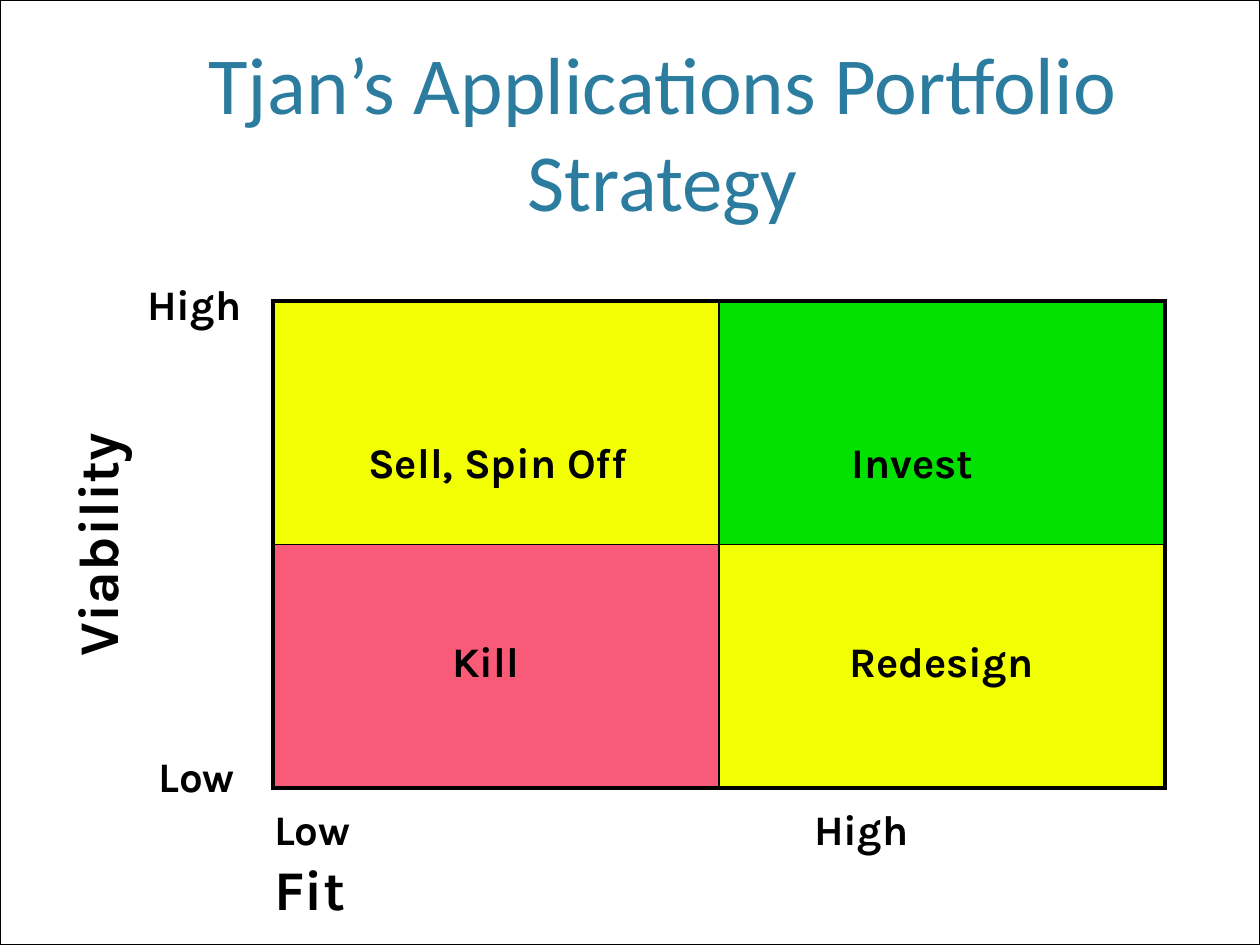
from lxml.etree import SubElement
from pptx import Presentation
from pptx.dml.color import RGBColor
from pptx.enum.shapes import MSO_SHAPE
from pptx.enum.text import MSO_ANCHOR, PP_ALIGN
from pptx.oxml.ns import qn
from pptx.util import Emu, Pt

PX = 8000
SLIDE_WIDTH, SLIDE_HEIGHT = 1260, 945
WHITE = RGBColor(0xFF, 0xFF, 0xFF)
BLACK = RGBColor(0x00, 0x00, 0x00)
TITLE_BLUE = RGBColor(0x2C, 0x7C, 0x9F)
YELLOW = RGBColor(0xF2, 0xFE, 0x02)
GREEN = RGBColor(0x03, 0xE1, 0x03)
RED = RGBColor(0xF8, 0x5A, 0x78)
LABEL_SIZE, AXIS_SIZE = 26.5, 35.3
LABEL_HEIGHT = 63
QUADRANT_FILLS = [[YELLOW, GREEN], [RED, YELLOW]]
QUADRANT_LABELS = [
    ("Sell, Spin Off", 84, 130, 297),
    ("Invest", 567, 130, 304),
    ("Kill", 168, 329, 91),
    ("Redesign", 565, 329, 219),
]


def px(*lengths):
    return [Emu(length * PX) for length in lengths]


def format_paragraph(paragraph, text, size=LABEL_SIZE, font="Karla", color=BLACK,
                     bold=True, align=PP_ALIGN.LEFT):
    run = paragraph.add_run()
    run.text = text
    run.font.name = font
    run.font.size = Pt(size)
    run.font.bold = bold
    run.font.color.rgb = color
    paragraph.alignment = align


def add_text(slide, text, box, wrap=True, anchor=MSO_ANCHOR.TOP, **text_format):
    shape = slide.shapes.add_textbox(*px(*box))
    frame = shape.text_frame
    frame.word_wrap = wrap
    frame.vertical_anchor = anchor
    format_paragraph(frame.paragraphs[0], text, **text_format)
    return shape


def add_frame(slide, box):
    shape = slide.shapes.add_shape(MSO_SHAPE.RECTANGLE, *px(*box))
    shape.shadow.inherit = False
    shape.fill.solid()
    shape.fill.fore_color.rgb = WHITE
    shape.line.color.rgb = BLACK
    shape.line.width = Pt(0.75)


def add_title(slide, box):
    shape = add_text(slide, "Tjan’s Applications Portfolio Strategy", box,
                     anchor=MSO_ANCHOR.BOTTOM, size=51, font="Calibri",
                     color=TITLE_BLUE, bold=False, align=PP_ALIGN.CENTER)
    frame = shape.text_frame
    frame.margin_left, frame.margin_right = px(13, 13)
    frame.margin_top, frame.margin_bottom = px(7, 7)


def style_cell(cell, color, outer_sides):
    properties = cell._tc.get_or_add_tcPr()
    for side in "LRTB":
        width = Pt(2.25 if side in outer_sides else 1)
        line = SubElement(properties, qn(f"a:ln{side}"), w=str(width))
        fill = SubElement(line, qn("a:solidFill"))
        SubElement(fill, qn("a:srgbClr"), val=str(BLACK))
    cell.fill.solid()
    cell.fill.fore_color.rgb = color


def add_matrix(slide, box):
    left, top, width, height = box
    table = slide.shapes.add_table(2, 2, *px(*box)).table
    for column in table.columns:
        column.width = Emu(width * PX // 2)
    for row in table.rows:
        row.height = Emu(height * PX // 2)
    for row_index, fills in enumerate(QUADRANT_FILLS):
        for column_index, color in enumerate(fills):
            style_cell(table.cell(row_index, column_index), color,
                       "TB"[row_index] + "LR"[column_index])
    for text, offset_x, offset_y, label_width in QUADRANT_LABELS:
        add_text(slide, text, (left + offset_x, top + offset_y, label_width, LABEL_HEIGHT),
                 wrap=False)


def add_viability_axis(slide, box):
    left, top, width, height = box
    title = add_text(slide, "Viability", (left, top, 80, height),
                     size=AXIS_SIZE, align=PP_ALIGN.CENTER)
    title.text_frame._txBody.bodyPr.set("vert", "vert270")
    title.text_frame.vertical_anchor = MSO_ANCHOR.MIDDLE
    add_text(slide, "High", (left + 80, top - 28, 122, LABEL_HEIGHT), wrap=False)
    add_text(slide, "Low", (left + 91, top + height - 43, 111, LABEL_HEIGHT), wrap=False)


def add_fit_axis(slide, box):
    shape = add_text(slide, "Low\tHigh", box)
    frame = shape.text_frame
    properties = frame.paragraphs[0]._p.get_or_add_pPr()
    tabs = SubElement(properties, qn("a:tabLst"))
    SubElement(tabs, qn("a:tab"), pos=str(540 * PX), algn="l")
    format_paragraph(frame.add_paragraph(), "Fit", size=AXIS_SIZE)


def main():
    presentation = Presentation()
    presentation.slide_width, presentation.slide_height = px(SLIDE_WIDTH, SLIDE_HEIGHT)
    slide = presentation.slides.add_slide(presentation.slide_layouts[6])
    add_frame(slide, (0, 0, SLIDE_WIDTH, SLIDE_HEIGHT))
    add_title(slide, (126, 24, 1073, 211))
    add_matrix(slide, (273, 301, 892, 487))
    add_viability_axis(slide, (56, 301, 202, 452 + 35))
    add_fit_axis(slide, (263, 798, 956, 130))
    presentation.save("out.pptx")


if __name__ == "__main__":
    main()
